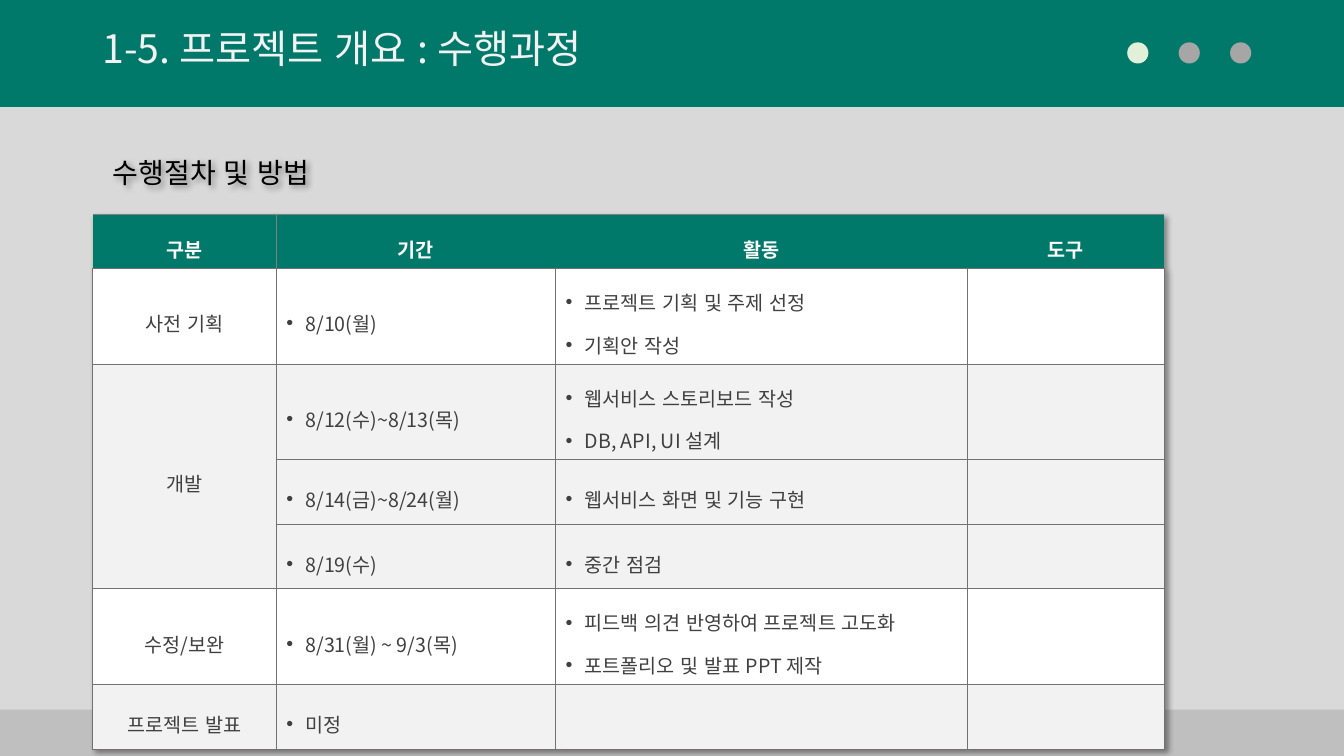
import pptx
import pptx.util
import pptx.dml.color
import pptx.enum.lang
import pptx.enum.shapes
import pptx.enum.text
import pptx.oxml
import pptx.oxml.ns

Inches = pptx.util.Inches
Pt = pptx.util.Pt
RGBColor = pptx.dml.color.RGBColor
ALIGN = pptx.enum.text.PP_ALIGN
ANCHOR = pptx.enum.text.MSO_ANCHOR
SHAPE = pptx.enum.shapes.MSO_SHAPE
LANGUAGE = pptx.enum.lang.MSO_LANGUAGE_ID.KOREAN

TEAL = RGBColor(0x00, 0x79, 0x6B)
PAGE = RGBColor(0xD9, 0xD9, 0xD9)
FOOTER = RGBColor(0xBF, 0xBF, 0xBF)
PALE = RGBColor(0xF2, 0xF2, 0xF2)
WHITE = RGBColor(0xFF, 0xFF, 0xFF)
BLACK = RGBColor(0x00, 0x00, 0x00)
INK = RGBColor(0x40, 0x40, 0x40)
DOT_ON = RGBColor(0xE2, 0xF0, 0xD9)
DOT_OFF = RGBColor(0xA6, 0xA6, 0xA6)
RULE = RGBColor(0x76, 0x71, 0x71)
HEADER_RULE = RGBColor(0x80, 0x80, 0x80)

KOREAN = "Noto Sans CJK KR"
NAMESPACE = pptx.oxml.ns.nsdecls("a")
SHADOW = (
    f'<a:effectLst {NAMESPACE}><a:outerShdw blurRad="50800" dist="38100" dir="2700000" algn="tl" '
    'rotWithShape="0"><a:srgbClr val="000000"><a:alpha val="40000"/></a:srgbClr>'
    "</a:outerShdw></a:effectLst>"
)

TITLE_FORMAT = {"size": Pt(28), "name": KOREAN}
HEADING_FORMAT = {"size": Pt(20), "name": KOREAN}
HEADER_FORMAT = {"size": Pt(14), "name": "Arial", "bold": True}
BODY_FORMAT = {"size": Pt(14), "name": KOREAN, "bold": False}

COLUMN_WIDTHS = [1.82, 2.77, 4.08, 1.96]
ROW_HEIGHTS = [0.53, 0.95, 0.95, 0.64, 0.64, 0.95, 0.64]
SCHEDULE = [
    ["구분", "기간", "활동", "도구"],
    ["사전 기획", "8/10(월)", "프로젝트 기획 및 주제 선정\n기획안 작성", ""],
    ["개발", "8/12(수)~8/13(목)", "웹서비스 스토리보드 작성\nDB, API, UI 설계", ""],
    ["", "8/14(금)~8/24(월)", "웹서비스 화면 및 기능 구현", ""],
    ["", "8/19(수)", "중간 점검", ""],
    ["수정/보완", "8/31(월) ~ 9/3(목)", "피드백 의견 반영하여 프로젝트 고도화\n포트폴리오 및 발표 PPT 제작", ""],
    ["프로젝트 발표", "미정", "", ""],
]
ROW_FILLS = [TEAL, WHITE, PALE, PALE, PALE, WHITE, PALE]


def add_run(paragraph, text, font_format, color):
    """Add a formatted run whose Korean letters use the Korean font."""
    run = paragraph.add_run()
    run.text = text
    for name, value in {"language_id": LANGUAGE, **font_format}.items():
        setattr(run.font, name, value)
    run.font.color.rgb = color
    latin = run.font._element.find(pptx.oxml.ns.qn("a:latin"))
    latin.addnext(pptx.oxml.parse_xml(f'<a:ea {NAMESPACE} typeface="{KOREAN}"/>'))


def add_filled_shape(slide, kind, box, color):
    """Add a plain shape without outline or shadow."""
    shape = slide.shapes.add_shape(kind, *map(Inches, box))
    shape.shadow.inherit = False
    shape.fill.solid()
    shape.fill.fore_color.rgb = color
    shape.line.fill.background()


def add_text(slide, box, text, font_format, color, frame_format):
    """Add a one-paragraph text box and return it."""
    shape = slide.shapes.add_textbox(*map(Inches, box))
    frame = shape.text_frame
    for name, value in {"word_wrap": True, **frame_format}.items():
        setattr(frame, name, value)
    paragraph = frame.paragraphs[0]
    paragraph.line_spacing = 0.9
    add_run(paragraph, text, font_format, color)
    return shape


def add_title_band(slide, left, top, width, height):
    """Draw the title band with its title and progress dots."""
    add_filled_shape(slide, SHAPE.RECTANGLE, (left, top, width, height), TEAL)
    add_text(slide, (left + 0.92, top + 0.2, 11.5, 0.61), "1-5. 프로젝트 개요 : 수행과정",
             TITLE_FORMAT, PALE, {"vertical_anchor": ANCHOR.MIDDLE})
    for index, color in enumerate([DOT_ON, DOT_OFF, DOT_OFF]):
        dot = (left + 11.18 + 0.51 * index, top + 0.42, 0.21, 0.21)
        add_filled_shape(slide, SHAPE.OVAL, dot, color)


def add_heading(slide, left, top, width, height):
    """Write the shadowed section heading."""
    margins = {f"margin_{side}": Inches(0.2) for side in ("left", "top", "right", "bottom")}
    shape = add_text(slide, (left, top, width, height), "수행절차 및 방법",
                     HEADING_FORMAT, BLACK, margins)
    shape._element.spPr.append(pptx.oxml.parse_xml(SHADOW))


def set_borders(cell, borders):
    """Set the cell's four borders, leaving out those without a colour."""
    properties = cell._tc.get_or_add_tcPr()
    for index, side in enumerate("LRTB"):
        color = borders.get(side)
        paint = f'<a:solidFill><a:srgbClr val="{color}"/></a:solidFill>' if color else "<a:noFill/>"
        line = f'<a:ln{side} {NAMESPACE} w="6350">{paint}</a:ln{side}>'
        properties.insert(index, pptx.oxml.parse_xml(line))


def fill_cell(cell, text, row, column):
    """Write and format one cell of the schedule."""
    is_header = row == 0
    cell.vertical_anchor = ANCHOR.MIDDLE
    cell.fill.solid()
    cell.fill.fore_color.rgb = ROW_FILLS[row]
    borders = dict.fromkeys("LRTB", RULE)
    if is_header:
        borders = {"T": HEADER_RULE, "B": RULE}
        if column < 2:
            borders["RL"[column]] = HEADER_RULE
    set_borders(cell, borders)
    for index, line in enumerate(text.split("\n") if text else []):
        frame = cell.text_frame
        paragraph = frame.add_paragraph() if index else frame.paragraphs[0]
        paragraph.line_spacing = 1.5
        if is_header or column == 0:
            paragraph.alignment = ALIGN.CENTER
        else:
            properties = paragraph._p.get_or_add_pPr()
            properties.set("marL", str(Inches(0.19)))
            properties.set("indent", str(Inches(-0.19)))
            for bullet in ('buFont {} typeface="Arial"', 'buChar {} char="•"'):
                properties.append(pptx.oxml.parse_xml(f"<a:{bullet.format(NAMESPACE)}/>"))
        add_run(paragraph, line, HEADER_FORMAT if is_header else BODY_FORMAT,
                WHITE if is_header else INK)


def add_schedule(slide, left, top, width, height):
    """Build the schedule table."""
    box = map(Inches, (left, top, width, height))
    table = slide.shapes.add_table(len(SCHEDULE), len(COLUMN_WIDTHS), *box).table
    table.horz_banding = False
    table._tbl.tblPr.insert(0, pptx.oxml.parse_xml(SHADOW))
    for column, size in zip(table.columns, COLUMN_WIDTHS):
        column.width = Inches(size)
    for row, size in zip(table.rows, ROW_HEIGHTS):
        row.height = Inches(size)
    for row, texts in enumerate(SCHEDULE):
        for column, text in enumerate(texts):
            fill_cell(table.cell(row, column), text, row, column)
    table.cell(2, 0).merge(table.cell(4, 0))


def main():
    """Build and save the presentation."""
    presentation = pptx.Presentation()
    presentation.slide_width = Inches(13.33)
    presentation.slide_height = Inches(7.5)
    slide = presentation.slides.add_slide(presentation.slide_layouts[6])
    slide.background.fill.solid()
    slide.background.fill.fore_color.rgb = PAGE
    add_filled_shape(slide, SHAPE.RECTANGLE, (0, 7.04, 13.33, 0.46), FOOTER)
    add_title_band(slide, 0, 0, 13.33, 1.06)
    add_heading(slide, 0.92, 1.43, 11.5, 5.47)
    add_schedule(slide, 0.92, 2.13, sum(COLUMN_WIDTHS), sum(ROW_HEIGHTS))
    presentation.save("out.pptx")


if __name__ == "__main__":
    main()
